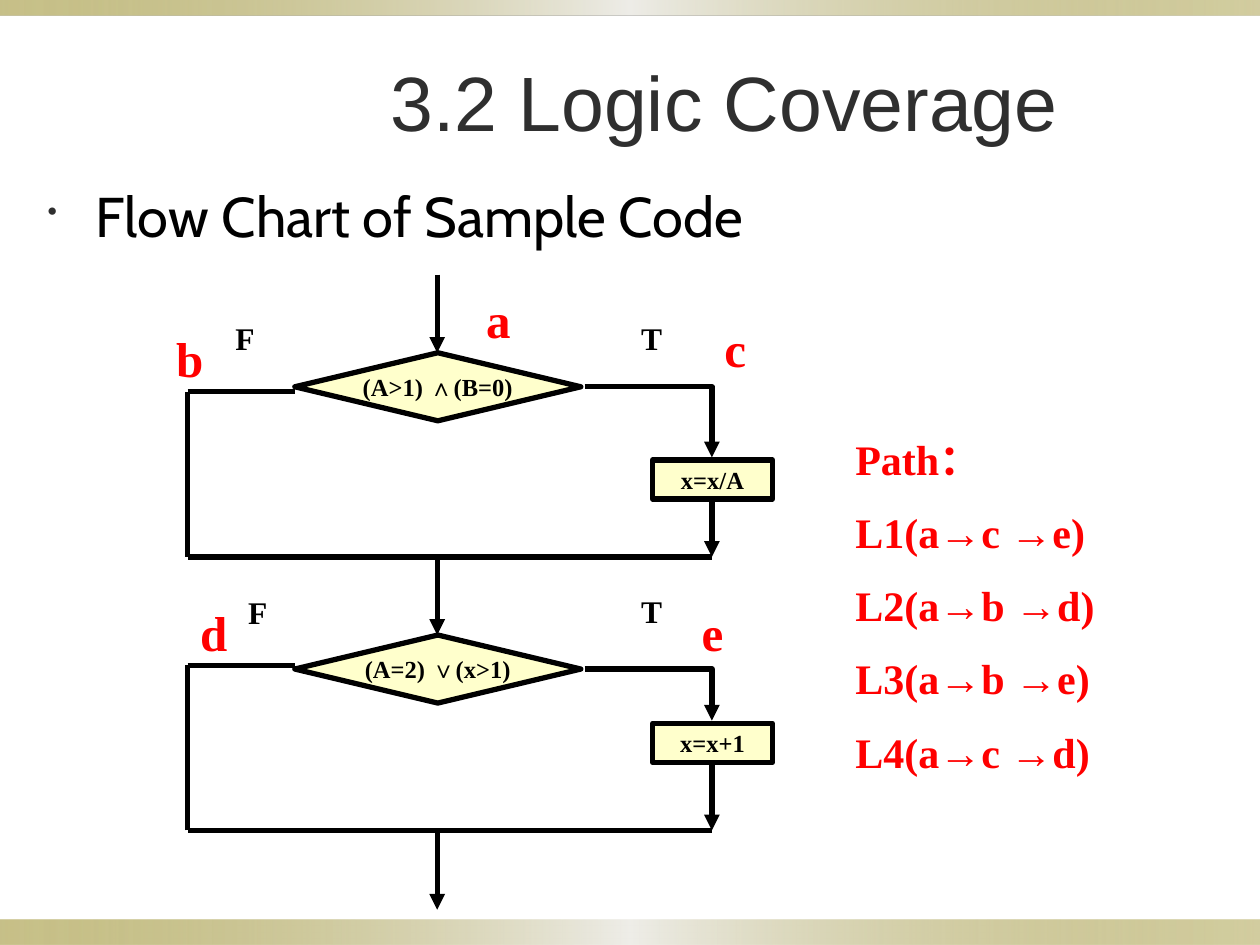
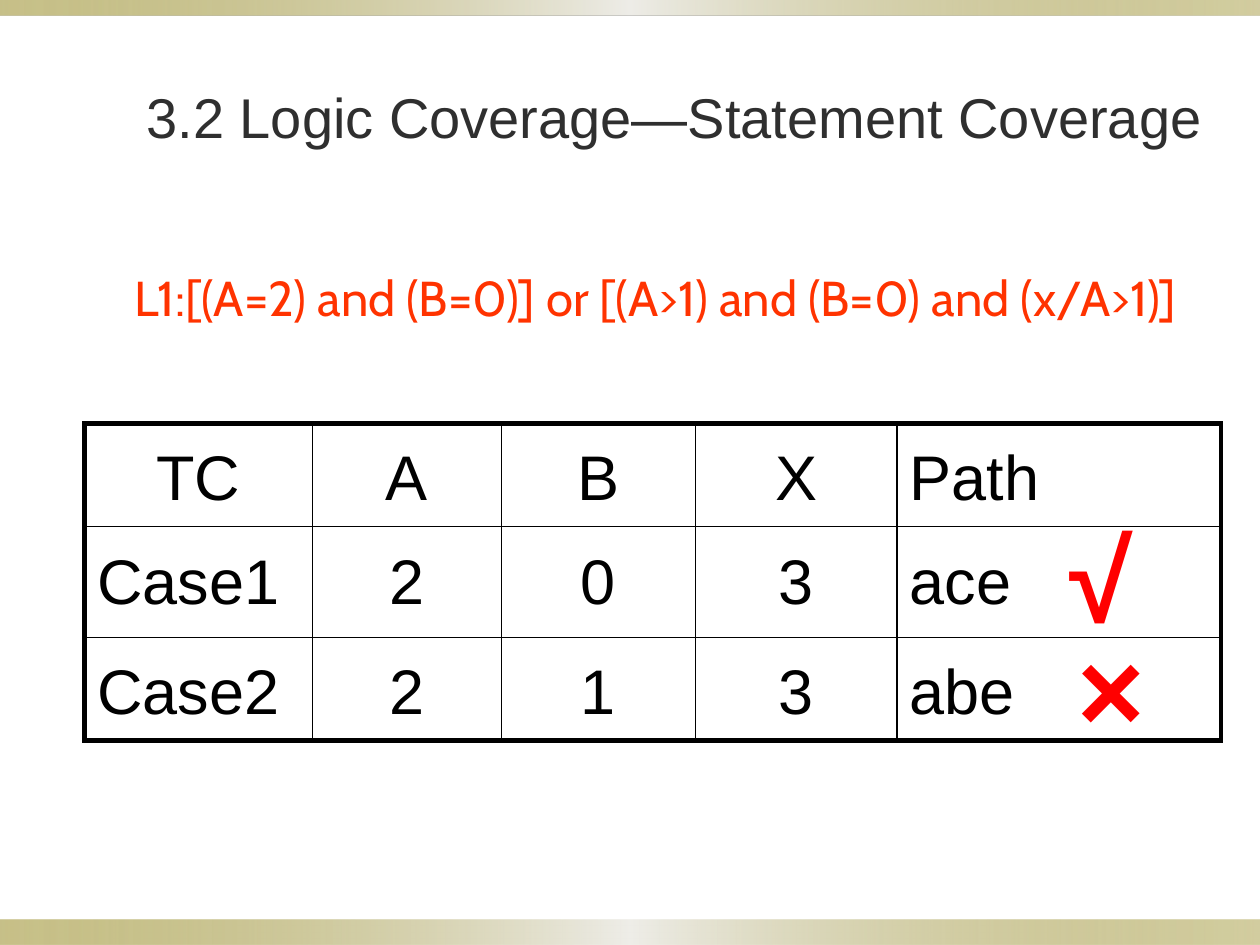
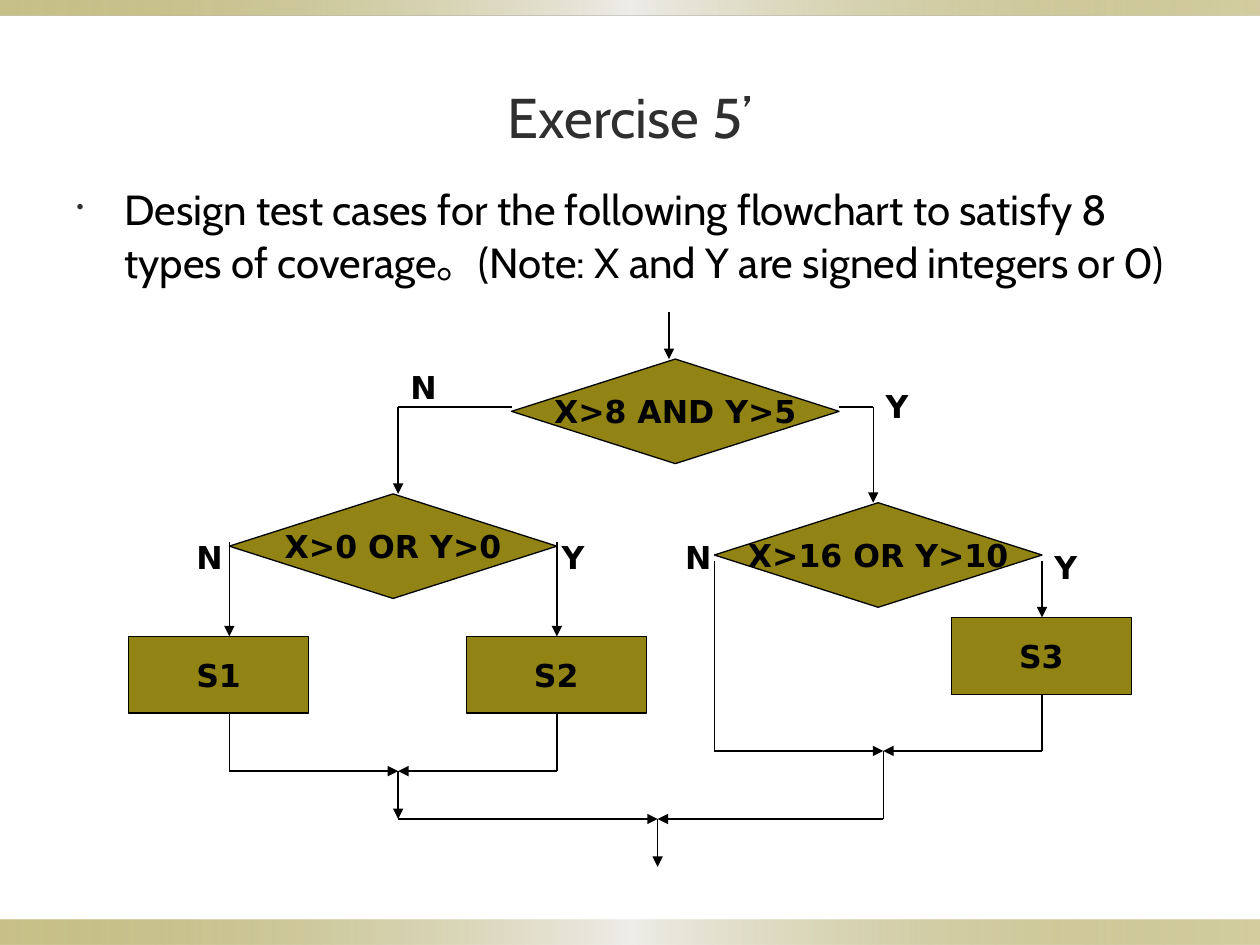
from pptx import Presentation
from pptx.dml.color import RGBColor
from pptx.enum.shapes import MSO_CONNECTOR, MSO_SHAPE
from pptx.enum.text import MSO_ANCHOR, PP_ALIGN
from pptx.oxml import parse_xml
from pptx.oxml.ns import nsdecls
from pptx.util import Pt

PX = 9144
SLIDE_WIDTH, SLIDE_HEIGHT = 1000, 750

BLACK = RGBColor(0x00, 0x00, 0x00)
CHARCOAL = RGBColor(0x2F, 0x2F, 0x2F)
OLIVE = RGBColor(0x91, 0x84, 0x15)
SILVER = RGBColor(0xEE, 0xED, 0xE8)
CREAM = RGBColor(0xFF, 0xFF, 0xCC)
RED = RGBColor(0xFF, 0x00, 0x00)
ORANGE_RED = RGBColor(0xFF, 0x33, 0x00)

SANS, BODY_FONT, SERIF, LABEL_FONT = "Arial", "Cabin", "Times New Roman", "DejaVu Sans"
DECISION, RECTANGLE = MSO_SHAPE.FLOWCHART_DECISION, MSO_SHAPE.RECTANGLE
STRAIGHT, ELBOW = MSO_CONNECTOR.STRAIGHT, MSO_CONNECTOR.ELBOW
LEFT, CENTER = PP_ALIGN.LEFT, PP_ALIGN.CENTER
TOP, MIDDLE = MSO_ANCHOR.TOP, MSO_ANCHOR.MIDDLE

BAND_STOPS = ((0, OLIVE, 50), (50, SILVER, 100), (100, OLIVE, 40))
THICK, THIN = 3, 0.75


def emu(*lengths):
    """Turn px lengths into EMU."""
    return [length * PX for length in lengths]


def style_paragraph(paragraph, font_name, size, color, bold=False, align=LEFT):
    """Set the font and alignment of a whole paragraph."""
    paragraph.alignment = align
    font = paragraph.font
    font.name, font.size, font.bold = font_name, Pt(size), bold
    font.color.rgb = color


def add_text(slide, box, lines, font_name, size, color, bold=False, align=LEFT,
             anchor=TOP, wrap=True, gap=0, line_spacing=None, bullet=False):
    """Add a text box with one paragraph per line."""
    frame = slide.shapes.add_textbox(*emu(*box)).text_frame
    frame.word_wrap, frame.vertical_anchor = wrap, anchor
    for index, line in enumerate(lines):
        paragraph = frame.add_paragraph() if index else frame.paragraphs[0]
        paragraph.text = line
        if index:
            paragraph.space_before = Pt(gap)
        if line_spacing:
            paragraph.line_spacing = line_spacing
        if bullet:
            add_bullet(paragraph)
        style_paragraph(paragraph, font_name, size, color, bold, align)


def add_bullet(paragraph):
    """Give a paragraph a small round bullet and a hanging indent."""
    properties = paragraph._p.get_or_add_pPr()
    properties.set("marL", str(38 * PX))
    properties.set("indent", str(-38 * PX))
    for element in (f'<a:buClr {nsdecls("a")}><a:srgbClr val="{CHARCOAL}"/></a:buClr>',
                    f'<a:buSzPct {nsdecls("a")} val="50000"/>',
                    f'<a:buChar {nsdecls("a")} char="•"/>'):
        properties.append(parse_xml(element))


def add_title(slide, box, text, font_name, size):
    """Add the centred slide title."""
    add_text(slide, box, [text], font_name, size, CHARCOAL, align=CENTER, anchor=MIDDLE)


def add_band(slide, top, height):
    """Add a full-width gradient band."""
    band = slide.shapes.add_shape(RECTANGLE, *emu(0, top, SLIDE_WIDTH, height))
    band.shadow.inherit = False
    band.line.fill.background()
    stops = "".join(
        f'<a:gs pos="{position * 1000}"><a:srgbClr val="{color}">'
        f'<a:alpha val="{opacity * 1000}"/></a:srgbClr></a:gs>'
        for position, color, opacity in BAND_STOPS)
    band._element.spPr.insert(2, parse_xml(
        f'<a:gradFill {nsdecls("a")} rotWithShape="1"><a:gsLst>{stops}</a:gsLst>'
        '<a:lin ang="0" scaled="1"/></a:gradFill>'))


def add_slide(presentation):
    """Add a blank slide with its top and bottom bands."""
    slide = presentation.slides.add_slide(presentation.slide_layouts[6])
    add_band(slide, 730, 20)
    add_band(slide, 0, 12)
    return slide


def add_node(slide, kind, box, text, fill, line_width, font_name, size):
    """Add a flowchart shape with a centred bold label."""
    node = slide.shapes.add_shape(kind, *emu(*box))
    node.shadow.inherit = False
    node.fill.solid()
    node.fill.fore_color.rgb = fill
    node.line.color.rgb = BLACK
    node.line.width = Pt(line_width)
    frame = node.text_frame
    frame.word_wrap, frame.vertical_anchor = False, MIDDLE
    frame.text = text
    style_paragraph(frame.paragraphs[0], font_name, size, BLACK, True, CENTER)


def add_line(slide, start, end, width, arrow=False, kind=STRAIGHT):
    """Add a connector, with an arrowhead at its end if asked."""
    connector = slide.shapes.add_connector(kind, *emu(*start, *end))
    connector.line.color.rgb = BLACK
    connector.line.width = Pt(width)
    properties = connector._element.spPr
    if kind == ELBOW:
        properties.prstGeom.set("prst", "bentConnector2")
    if arrow:
        connector.line._get_or_add_ln().append(
            parse_xml(f'<a:tailEnd {nsdecls("a")} type="triangle"/>'))
    properties.append(parse_xml(f'<a:effectLst {nsdecls("a")}/>'))


def add_route(slide, points, width, arrow=True):
    """Join points with straight lines, the last one ending in an arrowhead."""
    last = len(points) - 2
    for index, (start, end) in enumerate(zip(points, points[1:])):
        add_line(slide, start, end, width, arrow and index == last)


def add_branch(slide, condition, top, action, action_top, merge):
    """Add a decision with its action on the right and its bypass on the left."""
    middle, right, left = 347, 565, 149
    bypass = merge - 131
    add_node(slide, DECISION, (234, top, 227, 54), condition, CREAM, THICK, SERIF, 14)
    add_node(slide, RECTANGLE, (518, action_top, 95, 31), action, CREAM, THICK, SERIF, 14)
    add_line(slide, (middle, top - 62), (middle, top), THICK, True)
    add_line(slide, (464, top + 27), (right, action_top - 2), THICK, True, ELBOW)
    add_line(slide, (right, action_top + 31), (right, merge), THICK, True)
    add_route(slide, [(right, merge), (left, merge), (left, bypass), (234, bypass)],
              THICK, arrow=False)


def set_borders(cell, widths):
    """Draw the left, right, top and bottom borders of a cell."""
    properties = cell._tc.get_or_add_tcPr()
    for side, width in zip("LRTB", widths):
        properties.append(parse_xml(
            f'<a:ln{side} {nsdecls("a")} w="{Pt(width)}"><a:solidFill>'
            f'<a:srgbClr val="{BLACK}"/></a:solidFill></a:ln{side}>'))


def add_case_table(slide, left, top, column_widths, row_heights, rows):
    """Add the test case table with a thick frame and thin inner lines."""
    last_row, last_column = len(row_heights) - 1, len(column_widths) - 1
    table = slide.shapes.add_table(
        len(rows), len(column_widths),
        *emu(left, top, sum(column_widths), sum(row_heights))).table
    table.first_row = table.horz_banding = False
    for column, width in zip(table.columns, column_widths):
        column.width = width * PX
    for row, height in zip(table.rows, row_heights):
        row.height = height * PX
    for row_index, values in enumerate(rows):
        for column_index, value in enumerate(values):
            cell = table.cell(row_index, column_index)
            outer = (column_index == 0, column_index == last_column,
                     row_index == 0, row_index == last_row)
            set_borders(cell, [THICK if edge else 1 for edge in outer])
            cell.fill.background()
            cell.text = value
            paragraph = cell.text_frame.paragraphs[0]
            paragraph.line_spacing = 1.2
            centered = column_index < last_column and (row_index == 0 or column_index > 0)
            style_paragraph(paragraph, SANS, 36, BLACK, align=CENTER if centered else LEFT)


def build_flow_chart_slide(presentation):
    """Build the flow chart of the sample code."""
    slide = add_slide(presentation)
    add_title(slide, (150, 17, 850, 125), "3.2 Logic Coverage", SANS, 44)
    add_text(slide, (28, 139, 968, 71), ["Flow Chart of Sample Code"],
             BODY_FONT, 32, BLACK, bullet=True)
    add_branch(slide, "(A>1) ∧(B=0)", 280, "x=x/A", 365, 442)
    add_branch(slide, "(A=2) ∨(x>1)", 504, "x=x+1", 574, 659)
    add_line(slide, (347, 659), (347, 722), THICK, True)
    for text, left, top in (("F", 177, 248), ("F", 187, 466), ("T", 499, 248), ("T", 499, 465)):
        add_text(slide, (left, top, 38, 40), [text], SERIF, 18, BLACK, True)
    for text, left, top in (("a", 376, 225), ("b", 130, 256), ("c", 565, 248),
                            ("d", 149, 473), ("e", 547, 473)):
        add_text(slide, (left, top, 47, 57), [text], SERIF, 28, RED, True)
    paths = ["Path：", "L1(a→c →e)", "L2(a→b →d)", "L3(a→b →e)", "L4(a→c →d)"]
    add_text(slide, (669, 339, 232, 293), paths, SERIF, 24, RED, True, gap=13)


def build_statement_coverage_slide(presentation):
    """Build the statement coverage test cases."""
    slide = add_slide(presentation)
    add_case_table(slide, 67, 336, (181, 150, 154, 160, 257), (82, 88, 82), (
        ("TC", "A", "B", "X", "Path"),
        ("Case1", "2", "0", "3", "ace"),
        ("Case2", "2", "1", "3", "abe")))
    add_title(slide, (78, 30, 915, 125), "3.2 Logic Coverage—Statement Coverage", SANS, 32)
    add_text(slide, (67, 203, 906, 62),
             ["L1:[(A=2) and (B=0)] or [(A>1) and (B=0) and (x/A>1)]"],
             BODY_FONT, 28, ORANGE_RED, align=CENTER, line_spacing=1.1)
    for mark, left, top in (("√", 823, 414), ("×", 831, 501)):
        add_text(slide, (left, top, 102, 87), [mark], SANS, 66, RED, True,
                 CENTER, MIDDLE, wrap=False)


def build_exercise_slide(presentation):
    """Build the exercise with its nested decisions."""
    slide = add_slide(presentation)
    add_title(slide, (50, 30, 900, 125), "Exercise 5’", BODY_FONT, 32)
    add_text(slide, (51, 139, 900, 551),
             ["Design test cases for the following flowchart to satisfy 8 types of coverage。"
              "(Note: X and Y are signed integers or 0)"],
             BODY_FONT, 24, BLACK, line_spacing=1.05, bullet=True)
    for text, left, top in (("X>8 AND Y>5", 406, 285), ("X>0 OR Y>0", 182, 392),
                            ("X>16 OR Y>10", 567, 399)):
        add_node(slide, DECISION, (left, top, 260, 83), text, OLIVE, THIN, LABEL_FONT, 18)
    for text, left, top in (("S1", 102, 505), ("S2", 370, 505), ("S3", 755, 490)):
        add_node(slide, RECTANGLE, (left, top, 143, 61), text, OLIVE, THIN, LABEL_FONT, 18)
    for text, left, top in (("N", 316, 287), ("Y", 693, 302), ("N", 146, 422),
                            ("Y", 436, 422), ("N", 534, 422), ("Y", 827, 430)):
        add_text(slide, (left, top, 43, 42), [text], LABEL_FONT, 18, BLACK, True, wrap=False)
    routes = (
        [(531, 248), (531, 285)],
        [(406, 323), (316, 323), (316, 392)],
        [(666, 323), (693, 323), (693, 399)],
        [(182, 430), (182, 505)],
        [(442, 430), (442, 505)],
        [(827, 445), (827, 490)],
        [(182, 566), (182, 612), (316, 612)],
        [(442, 566), (442, 612), (316, 612)],
        [(567, 445), (567, 596), (701, 596)],
        [(827, 551), (827, 596), (701, 596)],
        [(316, 612), (316, 650)],
        [(316, 650), (522, 650)],
        [(701, 596), (701, 650), (522, 650)],
        [(522, 650), (522, 688)],
    )
    for points in routes:
        add_route(slide, points, THIN)


def main():
    """Build and save the presentation."""
    presentation = Presentation()
    presentation.slide_width, presentation.slide_height = emu(SLIDE_WIDTH, SLIDE_HEIGHT)
    build_flow_chart_slide(presentation)
    build_statement_coverage_slide(presentation)
    build_exercise_slide(presentation)
    presentation.save("out.pptx")


if __name__ == "__main__":
    main()
